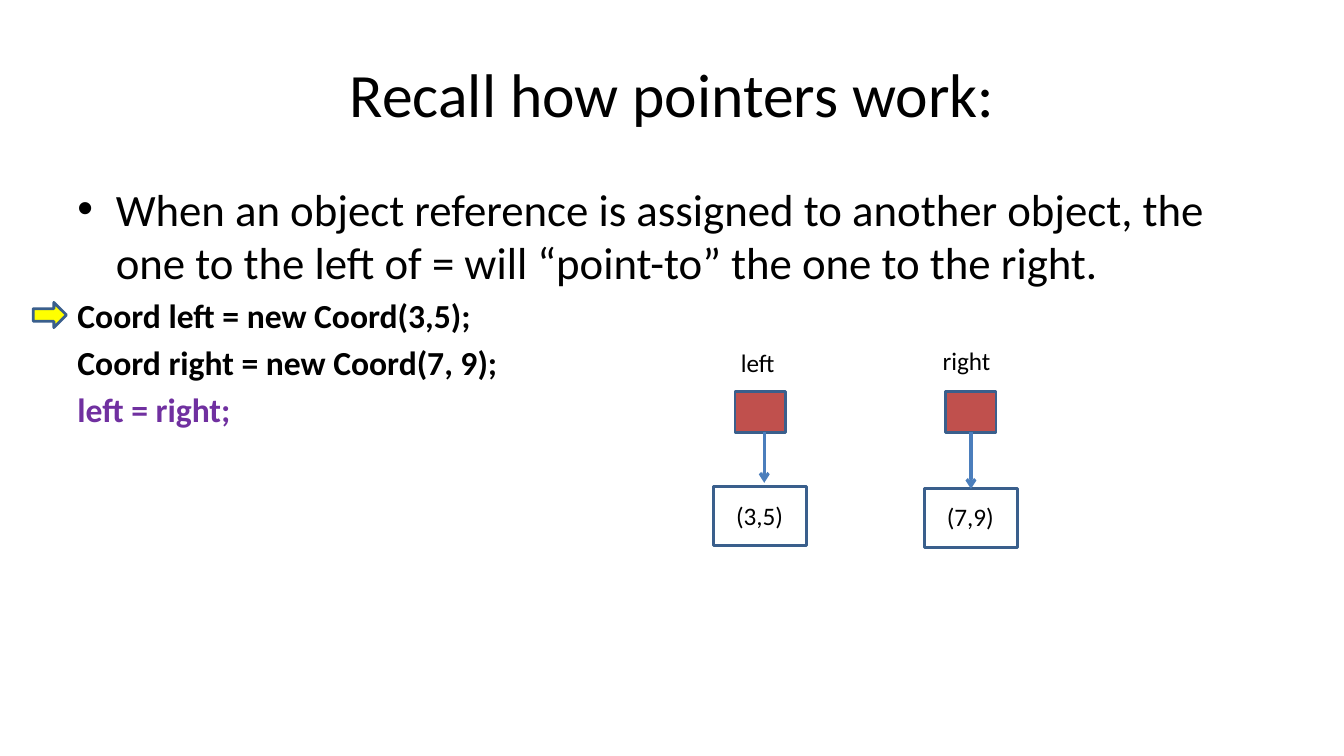
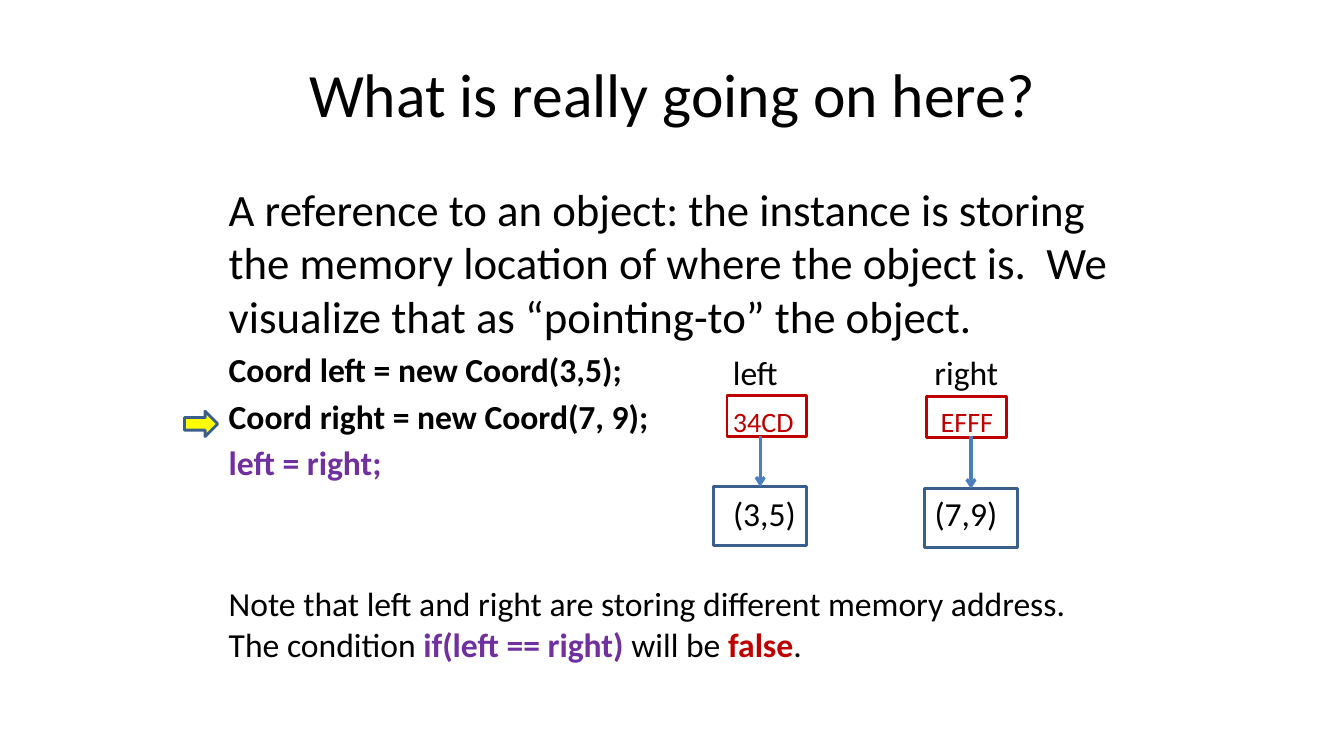
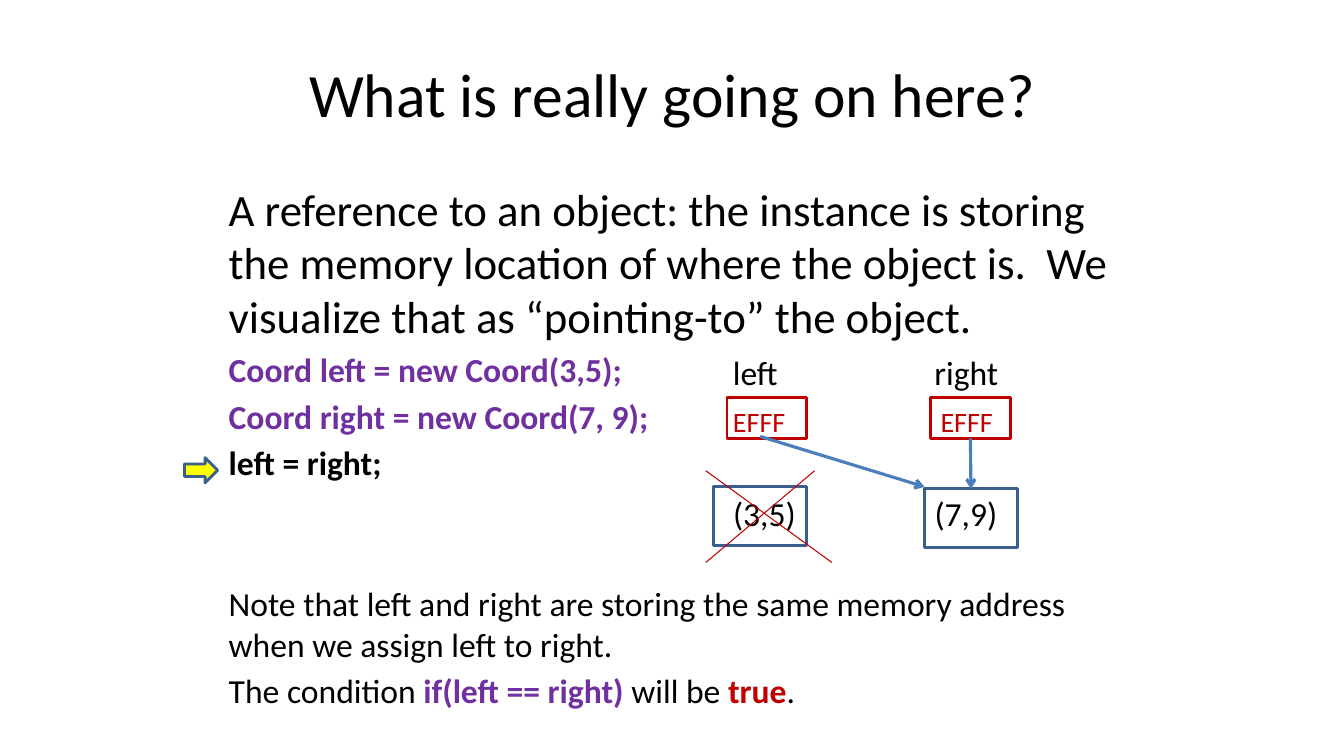
from lxml.etree import SubElement
from pptx import Presentation
from pptx.dml.color import RGBColor
from pptx.enum.shapes import MSO_CONNECTOR as CONN, MSO_SHAPE as SHAPE
from pptx.enum.text import MSO_ANCHOR as ANCHOR, PP_ALIGN as ALIGN
from pptx.oxml.ns import qn
from pptx.util import Inches, Pt

BLACK, PURPLE, RED = "000000", "7030A0", "C00000"
YELLOW, BRICK, NAVY, BLUE = "FFFF00", "C0504D", "3A5F8C", "4B7EBC"
ROW_GAP = 4.5    # points before each paragraph
NOTE_GAP = 72    # points between the code and the note below it
BOX_SIZE = (0.92, 0.58)
BOX_SPOTS = ((7.08, 4.83), (9.17, 4.85))
TITLE = "What is really going on here?"
INTRO = ("A reference to an object: the instance is storing the memory location "
         "of where the object is.  We visualize that as “pointing-to” the object.")
CODE = ("Coord left = new Coord(3,5);", "Coord right = new Coord(7, 9);", "left = right;")
NAMES, VALUES = ("left", "right"), ("(3,5)", "(7,9)")


def rgb(color):
    return RGBColor.from_string(color)


class Deck:
    font = "Calibri"

    def __init__(self):
        self.prs = Presentation()
        self.prs.slide_width, self.prs.slide_height = Inches(13.33), Inches(7.5)
        self.slide = None

    def new_slide(self, title):
        self.slide = self.prs.slides.add_slide(self.prs.slide_layouts[5])
        sp = self.slide.shapes.title
        place = {"left": 0.67, "top": 0.3, "width": 12, "height": 1.25}
        for name, value in place.items():
            setattr(sp, name, Inches(value))
        sp.text_frame.vertical_anchor = ANCHOR.MIDDLE
        p = sp.text_frame.paragraphs[0]
        p.alignment = ALIGN.CENTER
        self.run(p, title, 44)

    def run(self, p, text, size, color=BLACK, bold=False):
        r = p.add_run()
        r.text = text
        for name, value in {"name": self.font, "size": Pt(size), "bold": bold}.items():
            setattr(r.font, name, value)
        r.font.color.rgb = rgb(color)

    def text(self, x, y, w, h, paragraphs):
        """Each paragraph is (size, space before, bulleted, runs); a run is (text, color, bold)."""
        tf = self.slide.shapes.add_textbox(*map(Inches, (x, y, w, h))).text_frame
        tf.word_wrap = True
        for i, (size, gap, bulleted, runs) in enumerate(paragraphs):
            p = tf.add_paragraph() if i else tf.paragraphs[0]
            p.space_before = Pt(gap)
            if bulleted:
                pPr = p._p.get_or_add_pPr()
                pPr.set("marL", str(Inches(0.38)))
                pPr.set("indent", str(-Inches(0.38)))
                SubElement(pPr, qn("a:buFont")).set("typeface", "Arial")
                SubElement(pPr, qn("a:buChar")).set("char", "•")
            for part in runs:
                self.run(p, part[0], size, *part[1:])

    def label(self, x, y, text, size):
        self.text(x, y, 1, 0.4, [(size, 0, False, [(text,)])])

    def shape(self, kind, x, y, w, h, fill=None, line=NAVY):
        sp = self.slide.shapes.add_shape(kind, *map(Inches, (x, y, w, h)))
        sp.shadow.inherit = False
        if fill:
            sp.fill.solid()
            sp.fill.fore_color.rgb = rgb(fill)
        else:
            sp.fill.background()
        sp.line.color.rgb = rgb(line)
        sp.line.width = Pt(2)
        return sp

    def caption(self, sp, x, y, text, size, color=BLACK):
        """Write in a shape, starting at a point of the slide."""
        tf = sp.text_frame
        margins = {"margin_left": Inches(x) - sp.left, "margin_top": Inches(y) - sp.top,
                   "margin_right": 0, "margin_bottom": 0}
        for name, value in margins.items():
            setattr(tf, name, value)
        tf.word_wrap, tf.vertical_anchor = True, ANCHOR.TOP
        p = tf.paragraphs[0]
        p.alignment = ALIGN.LEFT
        self.run(p, text, size, color)

    def line(self, start, end, color=RED, width=0.75):
        cn = self.slide.shapes.add_connector(CONN.STRAIGHT, *map(Inches, start + end))
        cn.line.color.rgb = rgb(color)
        cn.line.width = Pt(width)
        SubElement(cn._element.spPr, qn("a:effectLst"))
        return cn

    def arrow(self, start, end, source=None, target=None):
        """Join the bottom of source and the top of target where they are given."""
        cn = self.line(start, end, BLUE, 2.25)
        SubElement(cn.line._get_or_add_ln(), qn("a:tailEnd")).set("type", "arrow")
        if source:
            cn.begin_connect(source, 2)
        if target:
            cn.end_connect(target, 0)

    def step_marker(self, x, y):
        self.shape(SHAPE.RIGHT_ARROW, x, y, 0.33, 0.25, YELLOW)

    def object_boxes(self, text_spots, size):
        boxes = [self.shape(SHAPE.RECTANGLE, *spot, *BOX_SIZE) for spot in BOX_SPOTS]
        for box, spot, value in zip(boxes, text_spots, VALUES):
            self.caption(box, *spot, value, size)
        return boxes


def code_rows(colors):
    return [(24, ROW_GAP, False, [(text, color, True)]) for text, color in zip(CODE, colors)]


def pointers_slide(deck):
    deck.new_slide("Recall how pointers work:")
    intro = ("When an object reference is assigned to another object, the one to the left "
             "of = will “point-to” the one to the right.")
    deck.text(0.67, 1.75, 12, 4.95,
              [(32, 0, True, [(intro,)])] + code_rows((BLACK, BLACK, PURPLE)))
    deck.step_marker(0.33, 3)
    boxes = deck.object_boxes(((7.3, 4.96), (9.39, 4.97)), 18)
    cells = [deck.shape(SHAPE.RECTANGLE, x, 3.88, 0.5, 0.41, BRICK) for x in (7.29, 9.38)]
    deck.arrow((7.58, 4.29), (7.58, 4.79))
    deck.arrow((9.63, 4.29), (9.63, 4.85), cells[1], boxes[1])
    for x, y, name in zip((7.25, 9.25), (3.4, 3.38), NAMES):
        deck.label(x, y, name, 18)


def reference_slide(deck, code_colors, marker_y, cell_spots, addresses, notes):
    """Build the memory address view; return its cells and object boxes."""
    deck.new_slide(TITLE)
    deck.text(2.17, 1.75, 9, 5.58,
              [(32, 0, False, [(INTRO,)])] + code_rows(code_colors)
              + [(24, ROW_GAP if i else NOTE_GAP, False, runs) for i, runs in enumerate(notes)])
    deck.step_marker(1.83, marker_y)
    for x, name in zip((7.17, 9.17), NAMES):
        deck.label(x, 3.44, name, 24)
    boxes = deck.object_boxes(((7.27, 4.89), (9.27, 4.89)), 24)
    cells = [deck.shape(SHAPE.RECTANGLE, *spot, 0.79, 0.41, line=RED) for spot in cell_spots]
    for cell, x, address in zip(cells, (7.27, 9.33), addresses):
        deck.caption(cell, x, 4.01, address, 20, RED)
    return cells, boxes


def main():
    deck = Deck()
    pointers_slide(deck)

    note = [("Note that left and right are storing different memory address. The condition ",),
            ("if(left == right) ", PURPLE, True), ("will be ",), ("false", RED, True), (".",)]
    cells, boxes = reference_slide(deck, (BLACK, BLACK, PURPLE), 4.08,
                                   ((7.21, 3.92), (9.19, 3.93)), ("34CD", "EFFF"), [note])
    for x, box in zip((7.54, 9.63), boxes):
        deck.arrow((x, 4.33), (x, 4.83), target=box)

    notes = [[("Note that left and right are storing the same memory address "
               "when we assign left to right.",)],
             [("The condition",), (" if(left == right)", PURPLE, True), (" will be ",),
              ("true", RED, True), (".",)]]
    cells, boxes = reference_slide(deck, (PURPLE, PURPLE, BLACK), 4.54,
                                   ((7.21, 3.94), (9.23, 3.94)), ("EFFF", "EFFF"), notes)
    deck.arrow((7.54, 4.33), (9.17, 4.83))
    deck.arrow((9.63, 4.35), (9.63, 4.85), cells[1], boxes[1])
    deck.line((7, 4.67), (8.25, 5.58))
    deck.line((8.08, 4.67), (7, 5.58))

    deck.prs.save("out.pptx")


if __name__ == "__main__":
    main()
